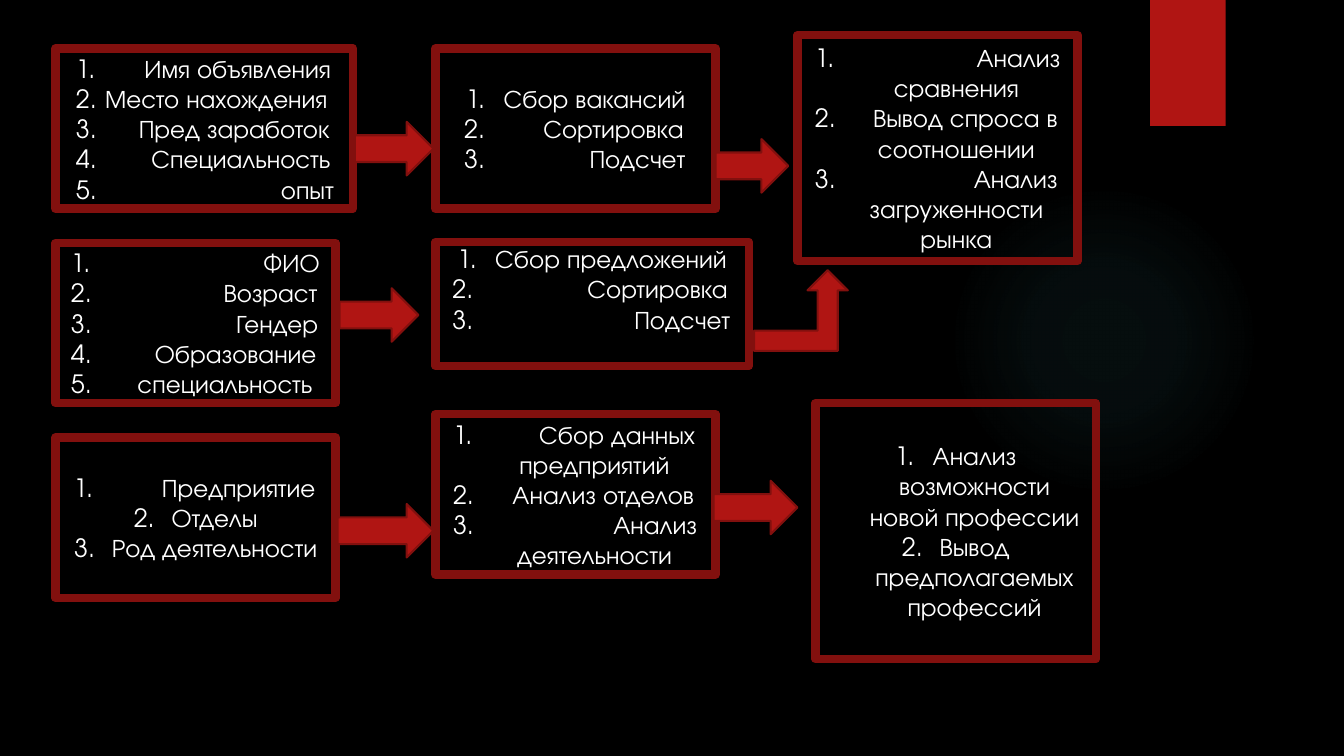
from dataclasses import dataclass

from lxml import etree
from pptx import Presentation
from pptx.dml.color import RGBColor
from pptx.enum.shapes import MSO_SHAPE
from pptx.enum.text import MSO_ANCHOR, PP_ALIGN
from pptx.oxml import parse_xml
from pptx.util import Pt

RECT, OVAL = MSO_SHAPE.RECTANGLE, MSO_SHAPE.OVAL
RIGHT, BENT = MSO_SHAPE.RIGHT_ARROW, MSO_SHAPE.BENT_UP_ARROW
LEFT_ALIGN, CENTER, MIDDLE = PP_ALIGN.LEFT, PP_ALIGN.CENTER, MSO_ANCHOR.MIDDLE
NS = "http://schemas.openxmlformats.org/drawingml/2006/main"


@dataclass(frozen=True)
class Theme:
    """Colours, type and line sizes of the slide."""
    back: RGBColor = RGBColor(0x00, 0x00, 0x00)
    text: RGBColor = RGBColor(0xFF, 0xFF, 0xFF)
    accent: RGBColor = RGBColor(0xB0, 0x15, 0x13)
    border: RGBColor = RGBColor(0x82, 0x10, 0x0E)
    glow: RGBColor = RGBColor(0x50, 0xB9, 0xC1)
    font: str = "TeX Gyre Adventor"
    size: float = 18
    line_height: float = 21.6
    hanging: float = 27
    box_line: float = 6
    arrow_line: float = 1.5


T = Theme()
COL_1, COL_2 = 39.6, 311
BOX_W, BOX_H, ARROW_H = 200.2, 114.5, 38.2

# Each box: frame, number indent, items (text indent or None when centred, text, next line), spare lines
BOXES = [
    ((COL_1, 34.6, 212.4, BOX_H), 7.5, [
        (56.5, "Имя объявления", ""), (28.5, "Место нахождения", ""),
        (52.5, "Пред заработок", ""), (61.5, "Специальность", ""),
        (154, "опыт", "")], 0),
    ((COL_1, 173.5, BOX_W, BOX_H), 4, [
        (141.5, "ФИО", ""), (113, "Возраст", ""), (122, "Гендер", ""),
        (64, "Образование", ""), (51.5, "специальность", "")], 0),
    ((COL_1, 312.5, BOX_W, BOX_H), 6, [
        (69, "Предприятие", ""), (None, "Отделы", ""),
        (None, "Род деятельности", "")], 0),
    ((COL_2, 34.6, BOX_W, BOX_H), 13.5, [
        (None, "Сбор вакансий", ""), (70, "Сортировка", ""),
        (103, "Подсчет", "")], 0),
    ((COL_2, 172.8, 223.9, 88.6), 5, [
        (None, "Сбор предложений", ""), (101.5, "Сортировка", ""),
        (135, "Подсчет", "")], 1),
    ((COL_2, 295.9, BOX_W, BOX_H), 5.5, [
        (67, "Сбор данных", "предприятий"), (48, "Анализ отделов", ""),
        (120, "Анализ", "деятельности")], 0),
    ((569.5, 25.2, BOX_W, 161.3), 5.5, [
        (121, "Анализ", "сравнения"), (47, "Вывод спроса в", "соотношении"),
        (119, "Анализ", "загруженности рынка")], 0),
    ((582.5, 288, BOX_W, 182.9), 0, [
        (None, "Анализ возможности новой профессии", ""),
        (None, "Вывод предполагаемых профессий", "")], 0),
]

ARROWS = [
    (RIGHT, (253.4, 87.1, 56.2, ARROW_H)),
    (RIGHT, (242.6, 205.9, 56.2, ARROW_H)),
    (RIGHT, (241.2, 360, 68.4, ARROW_H)),
    (RIGHT, (511.2, 99.4, 51.8, ARROW_H)),
    (BENT, (538.6, 193, 67, 57.6)),
    (RIGHT, (509.8, 343.4, 59.8, ARROW_H)),
]


def add_shape(s, kind, box, fill=None, line=None, width=0):
    """Add a flat preset shape in the given box."""
    sp = s.shapes.add_shape(kind, *(Pt(v) for v in box))
    sp.shadow.inherit = False
    if fill is None:
        sp.fill.background()
    else:
        sp.fill.solid()
        sp.fill.fore_color.rgb = fill
    if line is None:
        sp.line.fill.background()
    else:
        sp.line.color.rgb = line
        sp.line.width = Pt(width)
    return sp


def add_glow(s, box):
    """Add a faint round glow that fades towards its edge."""
    sp = add_shape(s, OVAL, box, T.glow)
    stops = "".join(
        f'<a:gs pos="{pos}000"><a:srgbClr val="{T.glow}">'
        f'<a:alpha val="{alpha}000"/></a:srgbClr></a:gs>'
        for pos, alpha in ((0, 7), (36, 6), (69, 0)))
    grad = parse_xml(
        f'<a:gradFill xmlns:a="{NS}"><a:gsLst>{stops}</a:gsLst><a:path path="circle">'
        '<a:fillToRect l="50000" t="50000" r="50000" b="50000"/></a:path></a:gradFill>')
    solid = sp.element.spPr.find(f"{{{NS}}}solidFill")
    sp.element.spPr.replace(solid, grad)


def format_paragraph(p, text, align, margin, indent=0, number=None):
    """Fill a paragraph and give it its indents and list number."""
    p.text = text
    p.alignment = align
    pPr = p._p.get_or_add_pPr()
    pPr.set("marL", str(Pt(margin)))
    pPr.set("indent", str(Pt(indent)))
    if number:
        etree.SubElement(pPr, f"{{{NS}}}buFont", typeface="+mj-lt")
        etree.SubElement(pPr, f"{{{NS}}}buAutoNum", type="arabicPeriod", startAt=str(number))
    for r in p.runs:
        r.font.name = T.font
        r.font.size = Pt(T.size)
        r.font.color.rgb = T.text


def add_list_box(s, box, number_x, items, spare_lines):
    """Add a framed numbered list."""
    sp = add_shape(s, RECT, box, line=T.border, width=T.box_line)
    tf = sp.text_frame
    tf.word_wrap = True
    tf.vertical_anchor = MIDDLE
    tf.margin_bottom = Pt(3.6 + spare_lines * T.line_height)
    p = tf.paragraphs[0]
    for number, (text_x, text, next_line) in enumerate(items, 1):
        if number > 1:
            p = tf.add_paragraph()
        if text_x is None:
            format_paragraph(p, text, CENTER, T.hanging, -T.hanging, number)
        else:
            format_paragraph(p, text, LEFT_ALIGN, text_x, number_x - text_x, number)
        if next_line:
            format_paragraph(tf.add_paragraph(), next_line, CENTER, T.hanging)


def build_slide(prs):
    """Build the process map with its decoration, boxes and arrows."""
    s = prs.slides.add_slide(prs.slide_layouts[6])
    s.background.fill.solid()
    s.background.fill.fore_color.rgb = T.back
    add_glow(s, (677.5, 131.8, 221.8, 221.8))
    add_shape(s, RECT, (821.5, 0, 54, 90), T.accent)
    for box in BOXES:
        add_list_box(s, *box)
    for kind, box in ARROWS:
        add_shape(s, kind, box, T.accent, T.border, T.arrow_line)


def main():
    """Create and save the presentation."""
    prs = Presentation()
    prs.slide_width, prs.slide_height = Pt(960), Pt(540)
    build_slide(prs)
    prs.save("out.pptx")


if __name__ == "__main__":
    main()
